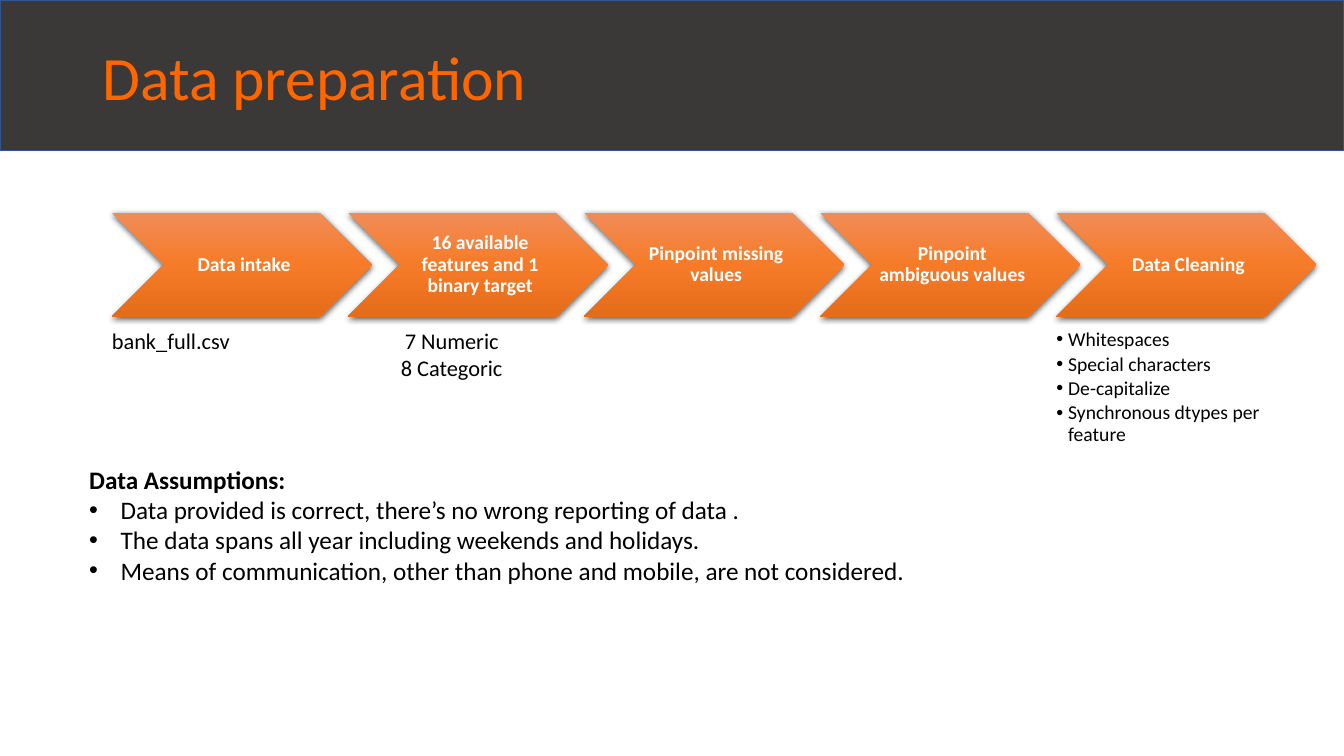
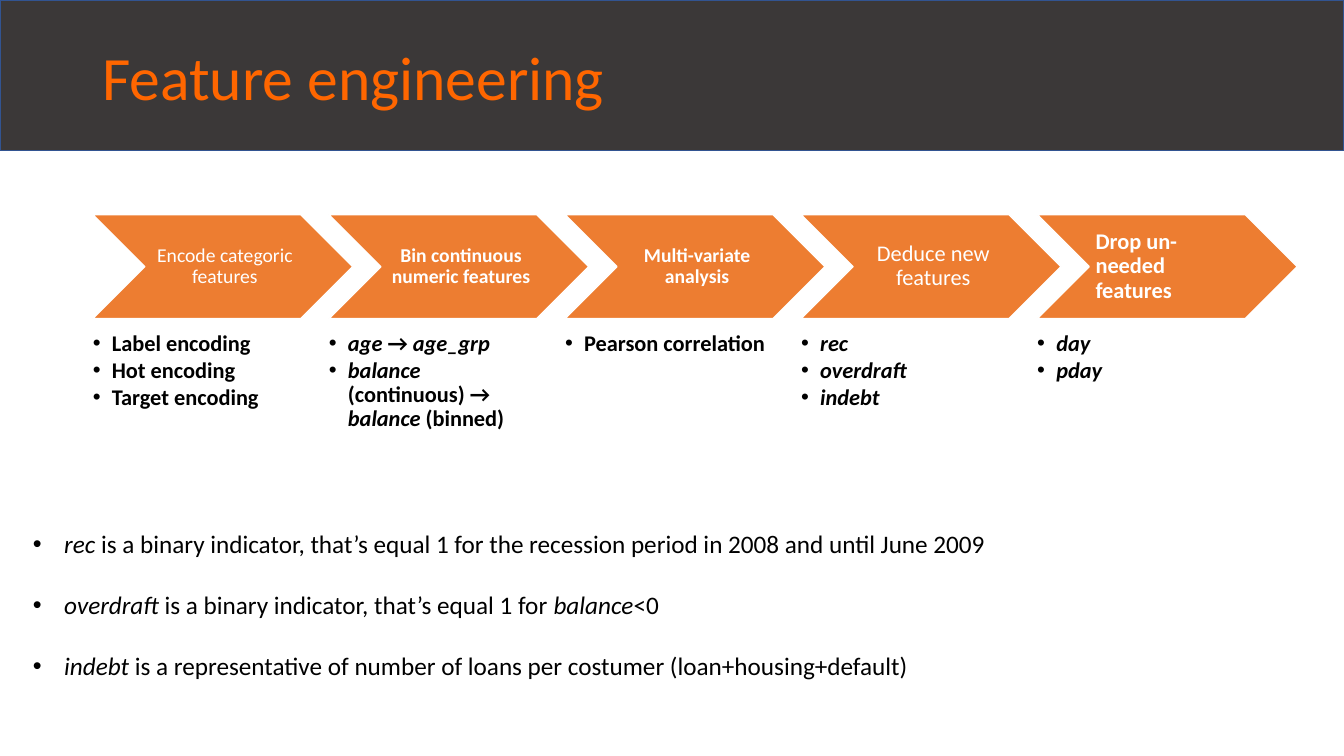
from lxml import etree
from copy import deepcopy
from pptx import Presentation
from pptx import util as u
from pptx.dml.color import RGBColor
from pptx.enum import shapes, text
from pptx.oxml.ns import qn

COLORS = {
    "band": "3B3838",
    "band_line": "325491",
    "title": "FF6600",
    "body": "000000",
    "white": "FFFFFF",
    "orange": "ED7D31",
    "grad_top": "F18C57",
    "grad_mid": "F67B28",
    "grad_end": "E56C19",
}
FONT = "Calibri"
SLIDE_W, SLIDE_H = 33.87, 19.05
STEP_W, STEP_H, STEP_PITCH = 6.55, 2.62, 5.95
NOTE_DY, NOTE_W, NOTE_H = 2.95, 5.23, 3.25
LEFT, CENTER = text.PP_ALIGN.LEFT, text.PP_ALIGN.CENTER


def rgb(name):
    return RGBColor.from_string(COLORS[name])


def add_paragraph(tf, content, size=16, color="body", bold=False, align=LEFT,
                  spacing=1.0, after=0, bullet=0):
    """Asterisks in content switch italics on and off."""
    p = tf.add_paragraph() if tf.text else tf.paragraphs[0]
    p.alignment = align
    p.line_spacing = spacing
    p.space_after = u.Pt(after)
    if bullet:
        pPr = p._p.get_or_add_pPr()
        pPr.set("marL", str(u.Cm(bullet)))
        pPr.set("indent", str(-u.Cm(bullet)))
        etree.SubElement(pPr, qn("a:buFont"), typeface="Arial")
        etree.SubElement(pPr, qn("a:buChar"), char="•")
    for i, part in enumerate(content.split("*")):
        if part:
            r = p.add_run()
            r.text = part
            r.font.name = FONT
            r.font.size = u.Pt(size)
            r.font.bold = bold
            r.font.italic = i % 2 == 1
            r.font.color.rgb = rgb(color)


def set_frame(tf, insets, anchor=text.MSO_ANCHOR.TOP):
    tf.word_wrap = True
    tf.vertical_anchor = anchor
    tf.margin_left, tf.margin_top, tf.margin_right, tf.margin_bottom = map(u.Cm, insets)


def add_box(slide, box, insets=(0.25, 0.13, 0.25, 0.13), anchor=text.MSO_ANCHOR.TOP):
    tf = slide.shapes.add_textbox(*map(u.Cm, box)).text_frame
    set_frame(tf, insets, anchor)
    return tf


def add_preset(slide, kind, box):
    sp = slide.shapes.add_shape(kind, *map(u.Cm, box))
    sp.shadow.inherit = False
    return sp


def paint_flat(sp, fill, line):
    sp.fill.solid()
    sp.fill.fore_color.rgb = rgb(fill)
    sp.line.color.rgb = rgb(line)
    sp.line.width = u.Pt(1)


def paint_glossy(sp):
    sp.line.fill.background()
    sp.fill.gradient()
    sp.fill.gradient_angle = 270
    spPr = sp._element.spPr
    stops = spPr.find(qn("a:gradFill")).find(qn("a:gsLst"))
    stops.insert(1, deepcopy(stops[0]))
    for i, name in enumerate(("grad_top", "grad_mid", "grad_end")):
        stop = sp.fill.gradient_stops[i]
        stop.position = i / 2
        stop.color.rgb = rgb(name)
    shadow = etree.SubElement(
        spPr.find(qn("a:effectLst")), qn("a:outerShdw"), blurRad=str(u.Pt(4.5)),
        dist=str(u.Pt(1.5)), dir="5400000", algn="ctr", rotWithShape="0")
    tint = etree.SubElement(shadow, qn("a:srgbClr"), val=COLORS["body"])
    etree.SubElement(tint, qn("a:alpha"), val="63000")


def paint_plain(sp):
    paint_flat(sp, "orange", "white")


def add_header(slide, title):
    band = add_preset(slide, shapes.MSO_SHAPE.RECTANGLE, (0, 0, SLIDE_W, 3.79))
    paint_flat(band, "band", "band_line")
    tf = add_box(slide, (2.33, 0.18, 29.21, 3.68), anchor=text.MSO_ANCHOR.MIDDLE)
    add_paragraph(tf, title, size=44, color="title", spacing=0.9)


def add_process(slide, left, top, steps, paint):
    for i, (label, label_fmt, notes, note_fmt) in enumerate(steps):
        x = left + i * STEP_PITCH
        sp = add_preset(slide, shapes.MSO_SHAPE.CHEVRON, (x, top, STEP_W, STEP_H))
        paint(sp)
        set_frame(sp.text_frame, (0.16, 0.05, 0.05, 0.05), text.MSO_ANCHOR.MIDDLE)
        fmt = {"size": 14, "bold": True, "align": CENTER, **label_fmt}
        add_paragraph(sp.text_frame, label, color="white", spacing=0.9,
                      after=0.35 * fmt["size"], **fmt)
        if notes:
            tf = add_box(slide, (x, top + NOTE_DY, NOTE_W, NOTE_H), (0, 0, 0, 0))
            for note in notes:
                add_paragraph(tf, note, spacing=0.9, after=2.3, **note_fmt)


def add_remarks(slide, box, remarks, heading="", after=0):
    tf = add_box(slide, box)
    if heading:
        add_paragraph(tf, heading, size=18, bold=True)
    for remark in remarks:
        add_paragraph(tf, remark, size=18, bullet=0.79, after=after)


def build_preparation(slide):
    add_header(slide, "Data preparation")
    steps = [
        ("Data intake", {}, ["bank_full.csv"], {}),
        ("16 available features and 1 binary target", {},
         ["7 Numeric", "8 Categoric"], {"align": CENTER}),
        ("Pinpoint missing values", {}, [], {}),
        ("Pinpoint ambiguous values", {}, [], {}),
        ("Data Cleaning", {},
         ["Whitespaces", "Special characters", "De-capitalize",
          "Synchronous dtypes per feature"], {"size": 14, "bullet": 0.3}),
    ]
    add_process(slide, 2.82, 5.36, steps, paint_glossy)
    add_remarks(slide, (2, 11.57, 25.76, 3.34), [
        "Data provided is correct, there’s no wrong reporting of data .",
        "The data spans all year including weekends and holidays.",
        "Means of communication, other than phone and mobile, are not considered.",
    ], heading="Data Assumptions:")


def build_engineering(slide):
    add_header(slide, "Feature engineering")
    listed = {"bold": True, "bullet": 0.48}
    steps = [
        ("Encode categoric features", {"bold": False},
         ["Label encoding", "Hot encoding", "Target encoding"], listed),
        ("Bin continuous numeric features", {},
         ["*age *→ *age_grp*", "*balance* (continuous) → *balance* (binned)"], listed),
        ("Multi-variate analysis", {}, ["Pearson correlation"], listed),
        ("Deduce new features", {"size": 16, "bold": False},
         ["*rec*", "*overdraft*", "*indebt*"], listed),
        ("Drop un-needed features", {"size": 16, "align": LEFT},
         ["*day*", "*pday*"], listed),
    ]
    add_process(slide, 2.34, 5.41, steps, paint_plain)
    add_remarks(slide, (0.58, 13.18, 26.06, 4.11), [
        "*rec* is a binary indicator, that’s equal 1 for the recession period"
        " in 2008 and until June 2009",
        "*overdraft *is a binary indicator, that’s equal 1 for *balance*<0",
        "*indebt *is a representative of number of loans per costumer"
        " (loan+housing+default)",
    ], after=22)


def main():
    prs = Presentation()
    prs.slide_width, prs.slide_height = u.Cm(SLIDE_W), u.Cm(SLIDE_H)
    for build in (build_preparation, build_engineering):
        build(prs.slides.add_slide(prs.slide_layouts[6]))
    prs.save("out.pptx")


if __name__ == "__main__":
    main()
